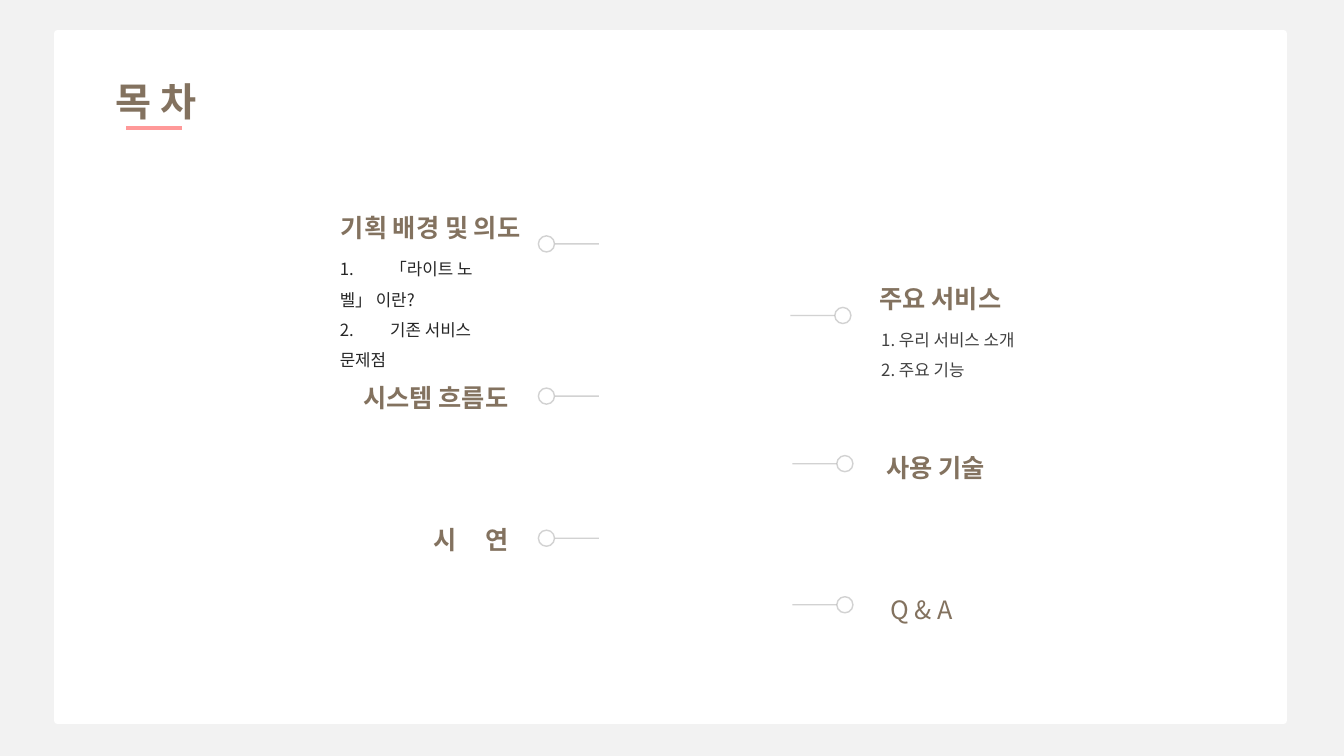
from dataclasses import dataclass
from typing import Any
from pptx import Presentation
from pptx.dml.color import RGBColor
from pptx.enum.shapes import MSO_CONNECTOR, MSO_SHAPE
from pptx.enum.text import MSO_ANCHOR, MSO_AUTO_SIZE, PP_ALIGN
from pptx.oxml.ns import qn
from pptx.util import Inches, Pt
from lxml.etree import SubElement


@dataclass(frozen=True)
class Theme:
    font: str = "Noto Sans CJK KR"
    back: str = "F2F2F2"
    card: str = "FFFFFF"
    brown: str = "83725F"
    pink: str = "FF9999"
    grey: str = "BFBFBF"
    dark: str = "262626"
    soft: str = "404040"
    title: int = 28
    head: int = 18
    body: int = 12


@dataclass(frozen=True)
class Topic:
    text: str
    right: float  # right edge of the heading box
    top: float
    ring: float  # left edge of the ring
    mid: float  # height of the ring's centre
    side: int  # 1: line runs right of the ring, -1: left
    bold: bool = True
    gap: int = 0  # extra points after the space


@dataclass(frozen=True)
class Points:
    lines: tuple[str, ...]
    left: float
    top: float
    width: float
    height: float
    color: str


THEME = Theme()
RING, STEM = 0.16, 0.44
WIDE, TALL = 2.66, 0.51

TOPICS = (
    Topic("기획 배경 및 의도", 5.26, 1.91, 5.34, 2.42, 1),
    Topic("시스템 흐름도", 5.14, 3.59, 5.34, 3.93, 1),
    Topic("시 연", 5.14, 5.0, 5.34, 5.34, 1, gap=16),
    Topic("주요 서비스", 10.03, 2.61, 8.28, 3.13, -1),
    Topic("사용 기술", 9.87, 4.29, 8.3, 4.6, -1),
    Topic("Q & A", 9.55, 5.7, 8.3, 6.0, -1, bold=False),
)

LISTS = (
    Points(("1.\t「라이트 노벨」 이란?", "2.\t기존 서비스 문제점"),
           3.27, 2.42, 1.82, 1.21, THEME.dark),
    Points(("1. 우리 서비스 소개", "2. 주요 기능"),
           8.64, 3.12, 1.8, 0.9, THEME.soft),
)


def place(shape: Any, left: float, top: float, width: float, height: float) -> None:
    shape.left, shape.top = Inches(left), Inches(top)
    shape.width, shape.height = Inches(width), Inches(height)


def write(shape: Any, *lines: str, size: int, color: str, bold: bool = False,
          align: PP_ALIGN = PP_ALIGN.LEFT, gap: int = 0, tab: float = 0) -> None:
    frame = shape.text_frame
    frame.word_wrap = True
    frame.auto_size = MSO_AUTO_SIZE.NONE
    frame.vertical_anchor = MSO_ANCHOR.TOP
    for index, line in enumerate(lines):
        para = frame.add_paragraph() if index else frame.paragraphs[0]
        props = para._p.get_or_add_pPr()
        props.set("marL", "0")
        props.set("indent", "0")
        SubElement(props, qn("a:buNone"))
        if tab:
            stops = SubElement(props, qn("a:tabLst"))
            SubElement(stops, qn("a:tab"), pos=str(Inches(tab)), algn="l")
        para.alignment = align
        para.line_spacing = 1.5
        para.space_before = Pt(0)
        for part in line.partition(" ") if gap else (line,):
            run = para.add_run()
            run.text = part
            font = run.font
            font.size, font.bold, font.name = Pt(size), bold, THEME.font
            font.color.rgb = RGBColor.from_string(color)
            look = run._r.get_or_add_rPr()
            SubElement(look, qn("a:ea"), typeface=THEME.font)
            if part == " ":
                look.set("spc", str(gap * 100))


def stroke(shape: Any, color: str, width: float, alpha: int = 100) -> None:
    shape.line.color.rgb = RGBColor.from_string(color)
    shape.line.width = Pt(width)
    if alpha < 100:
        for tint in shape._element.spPr.iter(qn("a:srgbClr")):
            SubElement(tint, qn("a:alpha"), val=str(alpha * 1000))


def rule(slide: Any, start: float, end: float, top: float, color: str,
         width: float, alpha: int = 100) -> None:
    line = slide.shapes.add_connector(
        MSO_CONNECTOR.STRAIGHT, Inches(start), Inches(top), Inches(end), Inches(top))
    stroke(line, color, width, alpha)
    SubElement(line._element.spPr, qn("a:effectLst"))


def mark(slide: Any, topic: Topic) -> None:
    ring = slide.shapes.add_shape(
        MSO_SHAPE.OVAL, Inches(topic.ring), Inches(topic.mid - RING / 2),
        Inches(RING), Inches(RING))
    ring.shadow.inherit = False
    ring.fill.background()
    stroke(ring, THEME.grey, 1, 70)
    start = topic.ring + (RING if topic.side > 0 else 0)
    rule(slide, start, start + topic.side * STEM, topic.mid, THEME.grey, 1, 70)


def head(slide: Any, topic: Topic) -> None:
    box = slide.shapes.add_textbox(
        Inches(topic.right - WIDE), Inches(topic.top), Inches(WIDE), Inches(TALL))
    write(box, topic.text, size=THEME.head, color=THEME.brown, bold=topic.bold,
          align=PP_ALIGN.RIGHT, gap=topic.gap)


def main() -> None:
    deck = Presentation()
    deck.slide_width, deck.slide_height = Inches(13.33), Inches(7.5)
    slide = deck.slides.add_slide(deck.slide_layouts[3])
    title, *bodies = slide.placeholders

    # Background and card
    slide.background.fill.solid()
    slide.background.fill.fore_color.rgb = RGBColor.from_string(THEME.back)
    card = slide.shapes.add_shape(
        MSO_SHAPE.RECTANGLE, Inches(0.57), Inches(0.33), Inches(12.16), Inches(6.82))
    card.shadow.inherit = False
    card.fill.solid()
    card.fill.fore_color.rgb = RGBColor.from_string(THEME.card)
    stroke(card, THEME.card, 5)
    title._element.addprevious(card._element)

    # Title with underline
    place(title, 0.3, 0.48, 1.75, 0.74)
    write(title, "목 차", size=THEME.title, color=THEME.brown, bold=True,
          align=PP_ALIGN.RIGHT)
    rule(slide, 1.25, 1.81, 1.27, THEME.pink, 2.25)

    # Topics with their markers
    for topic in TOPICS:
        head(slide, topic)
        mark(slide, topic)

    # Lists under the topics
    for body, points in zip(bodies, LISTS):
        place(body, points.left, points.top, points.width, points.height)
        write(body, *points.lines, size=THEME.body, color=points.color,
              tab=0.25 if "\t" in points.lines[0] else 0)

    deck.save("out.pptx")


if __name__ == "__main__":
    main()
